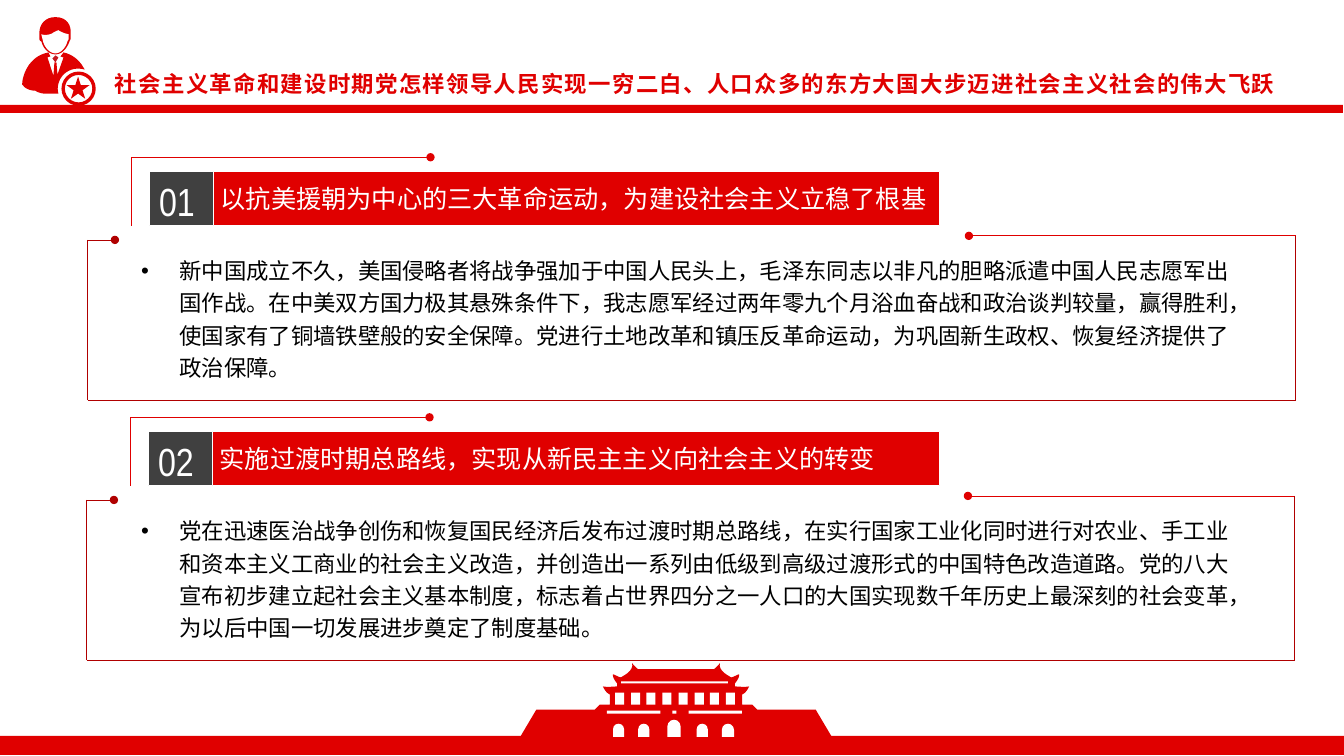
from dataclasses import dataclass

from lxml import etree
from pptx import Presentation
from pptx import util as u
from pptx.dml import color
from pptx.enum import shapes, text
from pptx.oxml import ns

PX = 9144  # EMU per px, 100 px to the inch


@dataclass(frozen=True)
class Theme:
    red: str = "E00000"
    dark_red: str = "B00000"
    tie_red: str = "C61821"
    gray: str = "404040"
    white: str = "FFFFFF"
    black: str = "000000"
    font: str = "Noto Sans CJK SC"
    number_font: str = "Arial Narrow"
    title_size: int = 16
    number_size: int = 28
    heading_size: int = 18
    body_size: int = 16


@dataclass(frozen=True)
class Box:
    left: int
    top: int
    width: int
    height: int

    def moved(self, dx: int, dy: int) -> "Box":
        return Box(self.left + dx, self.top + dy, self.width, self.height)

    def emu(self) -> list:
        return [u.Emu(n * PX) for n in (self.left, self.top, self.width, self.height)]


@dataclass(frozen=True)
class Section:
    dx: int
    dy: int
    number: str
    heading: str
    body: str


@dataclass(frozen=True)
class Edge:
    start: tuple
    end: tuple
    color: str
    dot: str = ""


THEME = Theme()
SHAPE = shapes.MSO_SHAPE
TITLE = "社会主义革命和建设时期党怎样领导人民实现一穷二白、人口众多的东方大国大步迈进社会主义社会的伟大飞跃"
SECTIONS = [
    Section(0, 0, "01", "以抗美援朝为中心的三大革命运动，为建设社会主义立稳了根基",
            "新中国成立不久，美国侵略者将战争强加于中国人民头上，毛泽东同志以非凡的胆略派遣中国人民志愿军出国作战。"
            "在中美双方国力极其悬殊条件下，我志愿军经过两年零九个月浴血奋战和政治谈判较量，赢得胜利，"
            "使国家有了铜墙铁壁般的安全保障。党进行土地改革和镇压反革命运动，为巩固新生政权、恢复经济提供了政治保障。"),
    Section(-1, 258, "02", "实施过渡时期总路线，实现从新民主主义向社会主义的转变",
            "党在迅速医治战争创伤和恢复国民经济后发布过渡时期总路线，在实行国家工业化同时进行对农业、手工业和资本主义工商业的社会主义改造，"
            "并创造出一系列由低级到高级过渡形式的中国特色改造道路。党的八大宣布初步建立起社会主义基本制度，"
            "标志着占世界四分之一人口的大国实现数千年历史上最深刻的社会变革，为以后中国一切发展进步奠定了制度基础。"),
]
FRAME = [
    Edge((961, 234), (1285, 234), THEME.red, "headEnd"),
    Edge((87, 238), (114, 238), THEME.dark_red, "tailEnd"),
    Edge((87, 238), (87, 397), THEME.dark_red),
    Edge((87, 397), (1285, 397), THEME.dark_red),
    Edge((1285, 234), (1285, 397), THEME.dark_red),
]

# Outlines: a pair is a straight step, six numbers are a cubic curve
HAIR = [(39, 38), (39, 40, 40, 41, 41, 41), (43, 49, 49, 54, 55, 54), (61, 54, 66, 49, 69, 41),
        (69, 40, 70, 40, 70, 38), (70, 34), (71, 26, 67, 17, 55, 17), (44, 17, 39, 25, 39, 33)]
FACE = [(41, 34), (43, 35, 49, 35, 52, 33), (55, 31, 58, 30, 58, 30), (58, 30, 59, 31, 64, 33),
        (68, 34), (68, 39), (67, 41), (65, 48, 60, 53, 55, 53), (50, 53, 45, 48, 43, 42)]
KNOT = [(52, 58), (55, 62), (58, 57), (55, 55)]
SUIT = [(63, 74), (69, 68, 77, 67, 84, 69), (83, 67, 82, 66, 81, 64), (77, 59, 72, 54, 63, 52),
        (60, 56), (63, 57), (57, 74), (56, 62), (54, 62), (53, 75), (47, 57), (50, 56), (48, 52),
        (38, 54, 33, 59, 29, 64), (24, 71, 22, 79, 22, 84), (23, 85), (26, 89, 32, 90, 35, 90),
        (38, 92, 42, 93, 46, 93), (58, 93), (56, 87, 58, 79, 63, 74)]
GATE_LEFT = [(516, 731), (532, 704), (590, 704), (595, 699), (605, 699), (605, 689),
             (605, 689, 601, 688, 598, 681), (601, 682, 612, 681, 612, 681), (612, 678),
             (612, 678, 607, 672, 608, 669), (611, 670, 614, 672, 616, 672),
             (617, 671, 629, 666, 627, 658), (630, 662, 633, 664, 633, 664)]
GATE_MIRROR = 1341  # sum of the x of a point and of its mirrored point


def rgb(value: str) -> color.RGBColor:
    return color.RGBColor.from_string(value)


def add_xml(parent, tag: str, **attributes: str):
    return etree.SubElement(parent, ns.qn(tag), attributes)


def flatten(outline: list, steps: int = 8) -> list:
    points = [outline[0]]
    for step in outline[1:]:
        if len(step) == 2:
            points.append(step)
            continue
        curve = [points[-1], step[:2], step[2:4], step[4:]]
        for i in range(1, steps + 1):
            t = i / steps
            weights = ((1 - t) ** 3, 3 * t * (1 - t) ** 2, 3 * t * t * (1 - t), t ** 3)
            points.append(tuple(sum(w * p[axis] for w, p in zip(weights, curve)) for axis in (0, 1)))
    return points


def paint(shape, fill: str = "", line: str = "") -> None:
    shape.shadow.inherit = False
    if fill:
        shape.fill.solid()
        shape.fill.fore_color.rgb = rgb(fill)
    else:
        shape.fill.background()
    if line:
        shape.line.color.rgb = rgb(line)
        shape.line.width = u.Pt(0.75)
    else:
        shape.line.fill.background()


def add_block(slide, box: Box, fill: str, line: str = "", kind=SHAPE.RECTANGLE):
    shape = slide.shapes.add_shape(kind, *box.emu())
    paint(shape, fill, line)
    return shape


def add_outline(slide, points: list, fill: str = "", line: str = ""):
    scaled = [(x * PX, y * PX) for x, y in points]
    builder = slide.shapes.build_freeform(*scaled[0])
    builder.add_line_segments(scaled[1:], close=bool(fill))
    shape = builder.convert_to_shape()
    paint(shape, fill, line)
    return shape


def add_edge(slide, edge: Edge, section: Section) -> None:
    ends = [u.Emu((n + d) * PX) for point in (edge.start, edge.end)
            for n, d in zip(point, (section.dx, section.dy))]
    connector = slide.shapes.add_connector(shapes.MSO_CONNECTOR.STRAIGHT, *ends)
    connector.line.color.rgb = rgb(edge.color)
    connector.line.width = u.Pt(0.5)
    if edge.dot:
        add_xml(connector.line._get_or_add_ln(), f"a:{edge.dot}", type="oval")
    add_xml(connector._element.spPr, "a:effectLst")


def write(shape, box: Box, words: str, size: int, ink: str, font: str = THEME.font,
          bold: bool = False, wrap: bool = True):
    shape.left, shape.top, shape.width, shape.height = box.emu()
    frame = shape.text_frame
    frame.text = words
    frame_format = {"word_wrap": wrap, "vertical_anchor": text.MSO_ANCHOR.TOP,
                    "auto_size": text.MSO_AUTO_SIZE.SHAPE_TO_FIT_TEXT}
    paragraph = frame.paragraphs[0]
    paragraph_format = {"alignment": text.PP_ALIGN.LEFT, "space_before": u.Pt(0)}
    run = paragraph.runs[0]
    font_format = {"size": u.Pt(size), "bold": bold, "name": font}
    for target, values in ((frame, frame_format), (paragraph, paragraph_format), (run.font, font_format)):
        for name, value in values.items():
            setattr(target, name, value)
    run.font.color.rgb = rgb(ink)
    add_xml(run._r.get_or_add_rPr(), "a:ea", typeface=font)
    return paragraph


def add_text(slide, box: Box, *args, **kwargs) -> None:
    write(slide.shapes.add_textbox(*box.emu()), box, *args, **kwargs)


def draw_person(slide) -> None:
    for outline, fill in ((HAIR, THEME.red), (FACE, THEME.white), (SUIT, THEME.red), (KNOT, THEME.tie_red)):
        add_outline(slide, flatten(outline), fill)
    badge = add_block(slide, Box(61, 71, 34, 34), THEME.red, kind=SHAPE.DONUT)
    badge.adjustments[0] = 0.1
    add_block(slide, Box(66, 76, 23, 22), THEME.red, kind=SHAPE.STAR_5_POINT)


def draw_gate(slide) -> None:
    half = flatten(GATE_LEFT)
    add_outline(slide, half + [(GATE_MIRROR - x, y) for x, y in reversed(half)], THEME.red)
    windows = [Box(610 + round(i * 110 / 7), 687, 9, 12) for i in range(8)]
    bands = [Box(616, 676, 106, 2), Box(602, 705, 53, 3), Box(667, 705, 4, 3), Box(683, 705, 53, 3)]
    for box in windows + bands:
        add_block(slide, box, THEME.white)
    for left, top, width in ((608, 718, 11), (633, 718, 11), (662, 714, 13), (691, 718, 11), (716, 718, 12)):
        door = add_block(slide, Box(left, top, width, 731 - top), THEME.white, kind=SHAPE.ROUND_2_SAME_RECTANGLE)
        door.adjustments[0] = 0.5


def draw_section(slide, section: Section, body) -> None:
    dx, dy = section.dx, section.dy
    # Heading bar with its corner line
    add_block(slide, Box(149, 170, 783, 54).moved(0, dy), THEME.red, THEME.white)
    corner = [(x + dx, y + dy) for x, y in ((130, 224), (130, 156), (427, 156))]
    add_xml(add_outline(slide, corner, line=THEME.red).line._get_or_add_ln(), "a:tailEnd", type="oval")
    add_block(slide, Box(148, 170, 64, 54).moved(dx, dy), THEME.gray, THEME.white)
    add_text(slide, Box(148, 171, 60, 57).moved(dx, dy), section.number, THEME.number_size,
             THEME.white, THEME.number_font, wrap=False)
    add_text(slide, Box(209, 177, 730, 40).moved(dx, dy), section.heading, THEME.heading_size, THEME.white)
    # Frame and bulleted text
    for edge in FRAME:
        add_edge(slide, edge, section)
    paragraph = write(body, Box(130, 245, 1120, 139).moved(0, dy), section.body, THEME.body_size, THEME.black)
    paragraph.line_spacing = 1.2
    properties = paragraph._p.get_or_add_pPr()
    properties.set("marL", str(38 * PX))
    properties.set("indent", str(-38 * PX))
    add_xml(properties, "a:buFont", typeface="Arial")
    add_xml(properties, "a:buChar", char="•")


def main() -> None:
    presentation = Presentation()
    presentation.slide_width, presentation.slide_height = u.Emu(1333 * PX), u.Emu(750 * PX)
    slide = presentation.slides.add_slide(presentation.slide_layouts[3])
    title, *bodies = slide.placeholders
    # Header and footer decoration
    draw_person(slide)
    add_block(slide, Box(0, 730, 1333, 19), THEME.red)
    draw_gate(slide)
    add_block(slide, Box(-1, 104, 1333, 8), THEME.red)
    # Title
    paragraph = write(title, Box(104, 65, 1198, 37), TITLE, THEME.title_size, THEME.red, bold=True)
    paragraph.runs[0]._r.get_or_add_rPr().set("spc", "100")
    # Sections
    for section, body in zip(SECTIONS, bodies):
        draw_section(slide, section, body)
    presentation.save("out.pptx")


if __name__ == "__main__":
    main()
